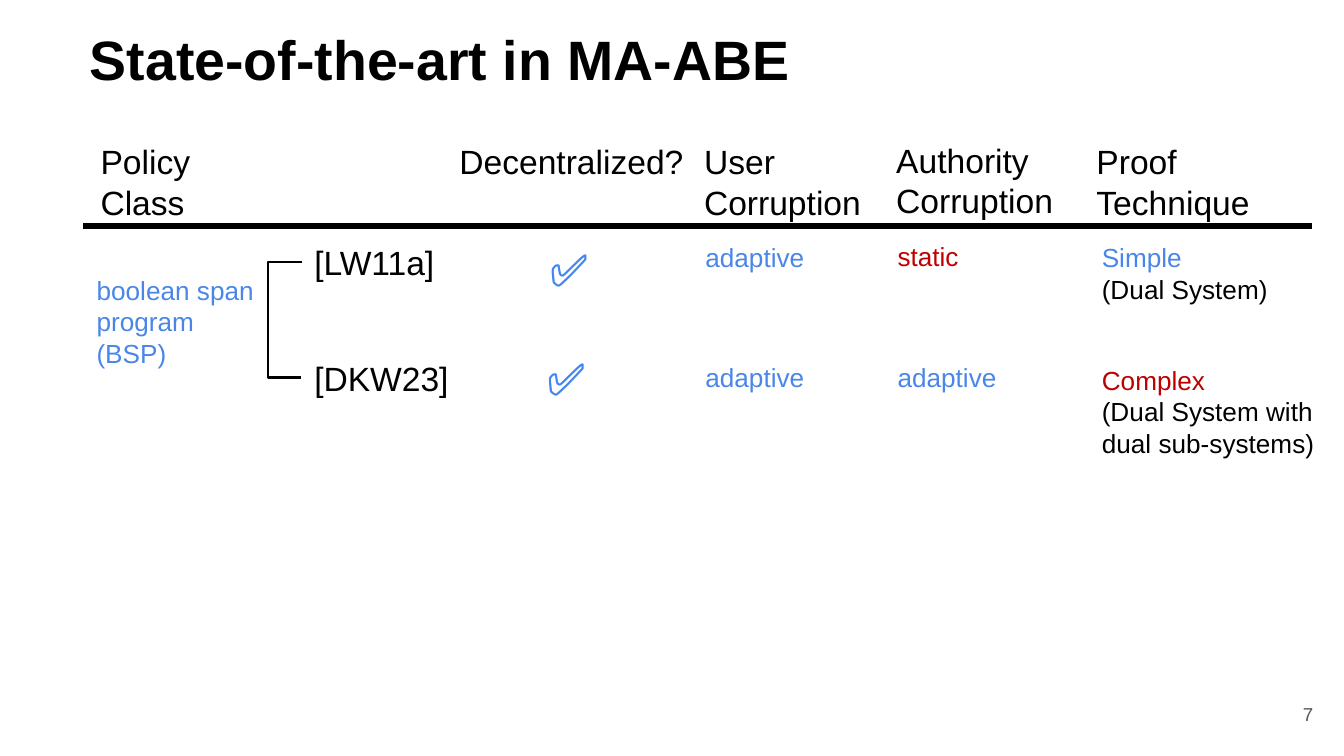
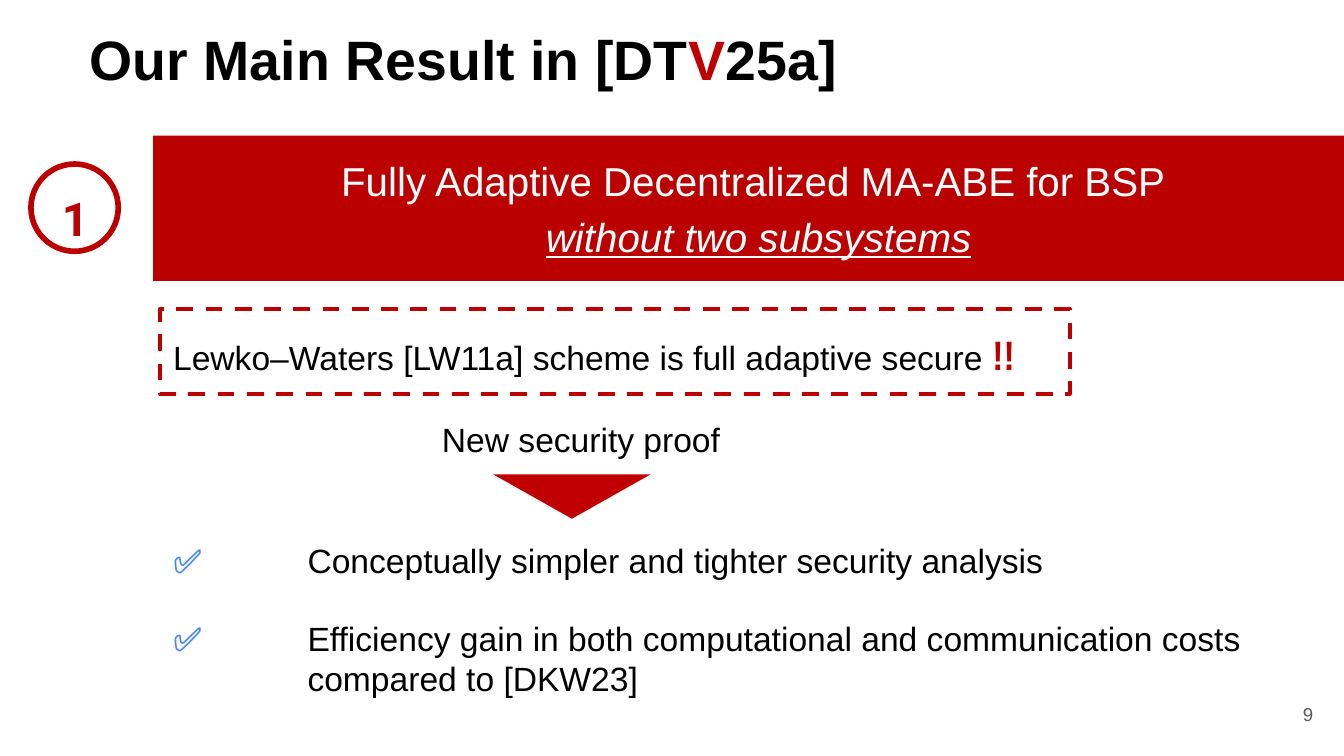
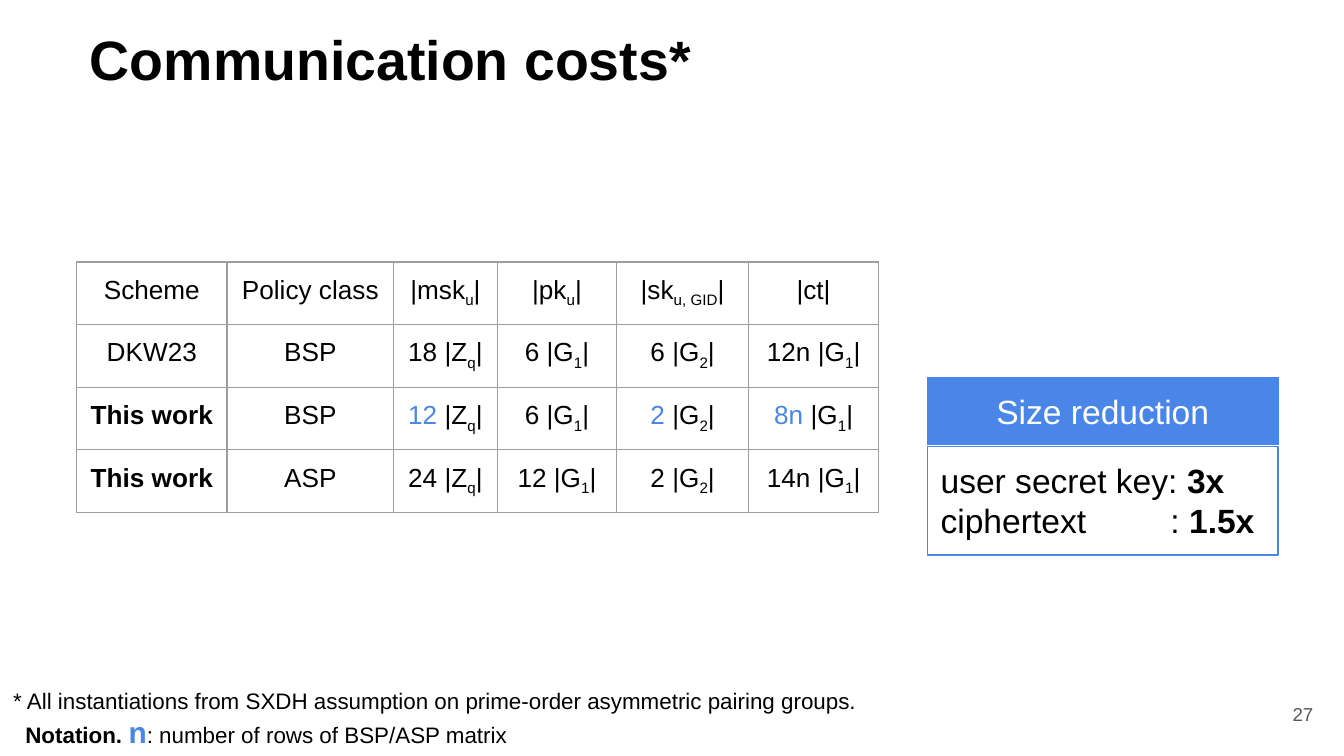
"""Build three slides on multi-authority attribute-based encryption."""
from lxml import etree
from pptx import Presentation
from pptx import util as u
from pptx.dml.color import RGBColor
from pptx.enum import dml, shapes, text
from pptx.oxml import ns

COLORS = {"black": "000000", "white": "FFFFFF", "blue": "4A86E8", "check": "4285F4",
          "red": "BB0000", "crimson": "C00000", "gray": "595959", "border": "9E9E9E"}
FONT = "Arial"
INSET = 0.1
CENTER = text.PP_ALIGN.CENTER
CHECK = ("✅", {"color": "check", "bold": True})

HEADINGS = [
    (0.65, 0.95, 1.16, 0.81, ["Policy", "Class"]),
    (3.32, 0.95, 1.96, 0.5, ["Decentralized?"]),
    (5.14, 0.95, 1.41, 0.81, ["User", "Corruption"]),
    (6.57, 0.94, 1.41, 0.81, ["Authority", "Corruption"]),
    (8.06, 0.95, 1.61, 0.81, ["Proof Technique"]),
]
SCHEMES = [
    (2.24, 1.7, 1.4, 0.5, ["[LW11a]"]),
    (2.24, 2.56, 1.37, 0.5, ["[DKW23]"]),
]
PROPERTIES = [
    (0.62, 1.94, 1.48, 0.91, "blue", "boolean span program (BSP)", None),
    (5.15, 1.7, 1.4, 0.44, "blue", "adaptive", None),
    (6.58, 1.69, 1.4, 0.44, "crimson", "static", None),
    (8.1, 1.7, 1.87, 0.67, "blue", "Simple", "(Dual System)"),
    (5.15, 2.59, 1.37, 0.44, "blue", "adaptive", None),
    (6.58, 2.59, 1.37, 0.44, "blue", "adaptive", None),
    (8.1, 2.61, 1.87, 0.91, "red", "Complex", "(Dual System with dual sub-systems)"),
]
CHECK_PLACES = [(3.99, 1.7), (3.97, 2.51)]

BENEFITS = ["Conceptually simpler and tighter security analysis",
            "Efficiency gain in both computational and communication costs compared to [DKW23]"]

COST_WIDTHS = [1.12, 1.24, 0.77, 0.89, 0.98, 0.97]
COST_ROW_HEIGHT = 0.42
COSTS = [
    ("Scheme", "Policy class", ("", "|msk", "u"), ("", "|pk", "u"), ("", "|sk", "u, GID"), "|ct|"),
    ("DKW23", "BSP", ("18", " |Z", "q"), ("6", " |G", "1"), ("6", " |G", "2"), ("12n", " |G", "1")),
    ("This work", "BSP", ("12", " |Z", "q"), ("6", " |G", "1"), ("2", " |G", "2"), ("8n", " |G", "1")),
    ("This work", "ASP", ("24", " |Z", "q"), ("12", " |G", "1"), ("2", " |G", "2"), ("14n", " |G", "1")),
]
IMPROVED = {(2, 2), (2, 4), (2, 5)}


def rgb(name):
    return RGBColor.from_string(COLORS[name])


def style_span(span, size=18, color="black", font=FONT, bold=False, italic=False,
               underline=False, baseline=0):
    face = span.font
    face.name, face.size, face.bold = font, u.Pt(size), bold
    face.color.rgb = rgb(color)
    if italic:
        face.italic = True
    if underline:
        face.underline = True
    if baseline:
        span._r.get_or_add_rPr().set("baseline", str(baseline))


def write(frame, lines, align=None, spacing=None, **base):
    """Fill a frame; a line is a string or a list of strings and (string, style) pairs."""
    frame.word_wrap = True
    for index, line in enumerate(lines):
        para = frame.paragraphs[0] if index == 0 else frame.add_paragraph()
        para.alignment = align or text.PP_ALIGN.LEFT
        if spacing:
            para.line_spacing = spacing
        for part in [line] if isinstance(line, str) else line:
            if part == "\n":
                para.add_line_break()
                continue
            words, style = (part, {}) if isinstance(part, str) else part
            span = para.add_run()
            span.text = words
            style_span(span, **{**base, **style})


def set_insets(frame, vertical=INSET):
    frame.margin_left = frame.margin_right = u.Inches(INSET)
    frame.margin_top = frame.margin_bottom = u.Inches(vertical)


def add_text(page, left, top, width, height, lines, inset=INSET, **style):
    box = page.shapes.add_textbox(*map(u.Inches, (left, top, width, height)))
    set_insets(box.text_frame, inset)
    write(box.text_frame, lines, **style)
    return box


def add_block(page, kind, left, top, width, height, fill=None, line=None, weight=0.75,
              lines=(), **style):
    block = page.shapes.add_shape(kind, *map(u.Inches, (left, top, width, height)))
    block.shadow.inherit = False
    if fill:
        block.fill.solid()
        block.fill.fore_color.rgb = rgb(fill)
    else:
        block.fill.background()
    if line:
        block.line.color.rgb = rgb(line)
        block.line.width = u.Pt(weight)
    else:
        block.line.fill.background()
    set_insets(block.text_frame)
    block.text_frame.vertical_anchor = text.MSO_ANCHOR.TOP
    write(block.text_frame, lines, **style)
    return block


def add_line(page, kind, begin, end, weight):
    line = page.shapes.add_connector(kind, *map(u.Inches, begin + end))
    line.line.color.rgb = rgb("black")
    line.line.width = u.Pt(weight)
    etree.SubElement(line._element.spPr, ns.qn("a:effectLst"))
    return line


def add_page(deck, title, number):
    page = deck.slides.add_slide(deck.slide_layouts[6])
    add_text(page, 0.57, 0.09, 9.43, 0.6, [title], size=29.7, bold=True)
    footer = add_text(page, 9.27, 5.1, 0.6, 0.43, [str(number)], size=10, color="gray",
                      align=text.PP_ALIGN.RIGHT)
    footer.text_frame.vertical_anchor = text.MSO_ANCHOR.MIDDLE
    return page


def set_indent(para, margin, first=0.0):
    properties = para._p.get_or_add_pPr()
    properties.set("marL", str(u.Inches(margin)))
    properties.set("indent", str(u.Inches(first)))


def add_tab_stop(para, position):
    stops = etree.SubElement(para._p.get_or_add_pPr(), ns.qn("a:tabLst"))
    etree.SubElement(stops, ns.qn("a:tab"), pos=str(u.Inches(position)), algn="l")


def build_overview(deck):
    page = add_page(deck, "State-of-the-art in MA-ABE", 7)
    for *place, lines in HEADINGS + SCHEMES:
        add_text(page, *place, lines)
    for *place, color, verdict, detail in PROPERTIES:
        line = [(verdict, {"color": color})] + (["\n", detail] if detail else [])
        add_text(page, *place, [line], size=14)
    for left, top in CHECK_PLACES:
        add_text(page, left, top, 0.48, 0.61, [[CHECK]], size=24)
    add_line(page, shapes.MSO_CONNECTOR.STRAIGHT, (0.62, 1.68), (9.76, 1.68), 3)
    bracket = add_line(page, shapes.MSO_CONNECTOR.ELBOW, (2.25, 1.95), (2.24, 2.81), 1.5)
    guides = bracket._element.spPr.find(ns.qn("a:prstGeom")).find(ns.qn("a:avLst"))
    etree.SubElement(guides, ns.qn("a:gd"), name="adj1", fmla="val 2600000")


def build_result(deck):
    title = ["Our Main Result in [DT", ("V", {"color": "crimson"}), "25a]"]
    page = add_page(deck, title, 9)
    kinds = shapes.MSO_SHAPE
    add_block(page, kinds.RECTANGLE, 1.14, 1.01, 9.01, 1.08, fill="red",
              lines=["Fully Adaptive Decentralized MA-ABE for BSP ",
                     [("without two subsystems", {"italic": True, "underline": True})]],
              size=21.6, color="white", align=CENTER, spacing=1.15)

    benefits = add_text(page, 1.19, 3.92, 8.27, 1.4,
                        [[CHECK, "\t" + benefit] for benefit in BENEFITS])
    for index, para in enumerate(benefits.text_frame.paragraphs):
        set_indent(para, 1, -1)
        if index:
            para.space_before = u.Pt(20)

    marks = ("!!", {"size": 22, "font": "Arial Narrow", "color": "red", "bold": True})
    claim = add_block(page, kinds.RECTANGLE, 1.19, 2.3, 6.77, 0.63, line="red", weight=2.25,
                      lines=[["Lewko–Waters [LW11a] scheme is full adaptive secure ", marks]],
                      spacing=1.15)
    claim.line.dash_style = dml.MSO_LINE.DASH
    add_text(page, 3.19, 3.07, 5.05, 0.4, ["New security proof"], inset=0.05)
    pointer = add_block(page, kinds.ISOSCELES_TRIANGLE, 3.67, 3.53, 1.17, 0.33, fill="crimson")
    pointer.rotation = 180

    ring = add_block(page, kinds.OVAL, 0.23, 1.22, 0.65, 0.65, line="red", weight=3)
    digit = add_text(page, 0.32, 1.25, 0.48, 0.91, ["1"], size=25, font="Roboto",
                     color="red", bold=True, align=CENTER, spacing=1.15)
    page.shapes.add_group_shape([ring, digit])


def set_borders(cell):
    properties = cell._tc.get_or_add_tcPr()
    for index, side in enumerate(("a:lnL", "a:lnR", "a:lnT", "a:lnB")):
        edge = etree.Element(ns.qn(side), w=str(u.Pt(0.75)))
        fill = etree.SubElement(edge, ns.qn("a:solidFill"))
        etree.SubElement(fill, ns.qn("a:srgbClr"), val=COLORS["border"])
        properties.insert(index, edge)


def add_cost_table(page):
    rows, columns = len(COSTS), len(COST_WIDTHS)
    place = (0.57, 1.95, sum(COST_WIDTHS), 1.73)
    table = page.shapes.add_table(rows, columns, *map(u.Inches, place)).table
    table.first_row = table.horz_banding = False
    for column, width in zip(table.columns, COST_WIDTHS):
        column.width = u.Inches(width)
    for r, row in enumerate(COSTS):
        table.rows[r].height = u.Inches(COST_ROW_HEIGHT)
        for c, entry in enumerate(row):
            cell = table.cell(r, c)
            cell.fill.background()
            set_borders(cell)
            set_insets(cell)
            if isinstance(entry, str):
                line = entry
            else:
                count, unit, index = entry
                color = "blue" if (r, c) in IMPROVED else "black"
                line = [(count, {"color": color})] if count else []
                line += [unit, (index, {"baseline": -25000}), "|"]
            write(cell.text_frame, [line], size=14, bold=entry == "This work", align=CENTER)


def build_costs(deck):
    page = add_page(deck, "Communication costs*", 27)
    add_cost_table(page)
    strong = {"bold": True}
    rectangle = shapes.MSO_SHAPE.RECTANGLE
    savings = add_block(page, rectangle, 6.9, 3.32, 2.61, 0.81, line="blue",
                        lines=[["user secret key: ", ("3x", strong)],
                               ["ciphertext\t: ", ("1.5x", strong)]])
    add_tab_stop(savings.text_frame.paragraphs[1], 1.71)
    add_block(page, rectangle, 6.9, 2.81, 2.61, 0.5, fill="blue", line="check",
              lines=["Size reduction"], color="white", align=CENTER)
    symbol = ("n", {"size": 16, "color": "blue", "bold": True})
    notes = add_text(
        page, 0, 5.01, 8.95, 0.67,
        ["* All instantiations from SXDH assumption on prime-order asymmetric pairing groups.",
         [("Notation. ", strong), symbol, ": number of rows of BSP/ASP matrix"]], size=12)
    set_indent(notes.text_frame.paragraphs[1], 0.09)


def main():
    deck = Presentation()
    deck.slide_width = u.Inches(10)
    deck.slide_height = deck.slide_width * 9 // 16
    for build in (build_overview, build_result, build_costs):
        build(deck)
    deck.save("out.pptx")


if __name__ == "__main__":
    main()
